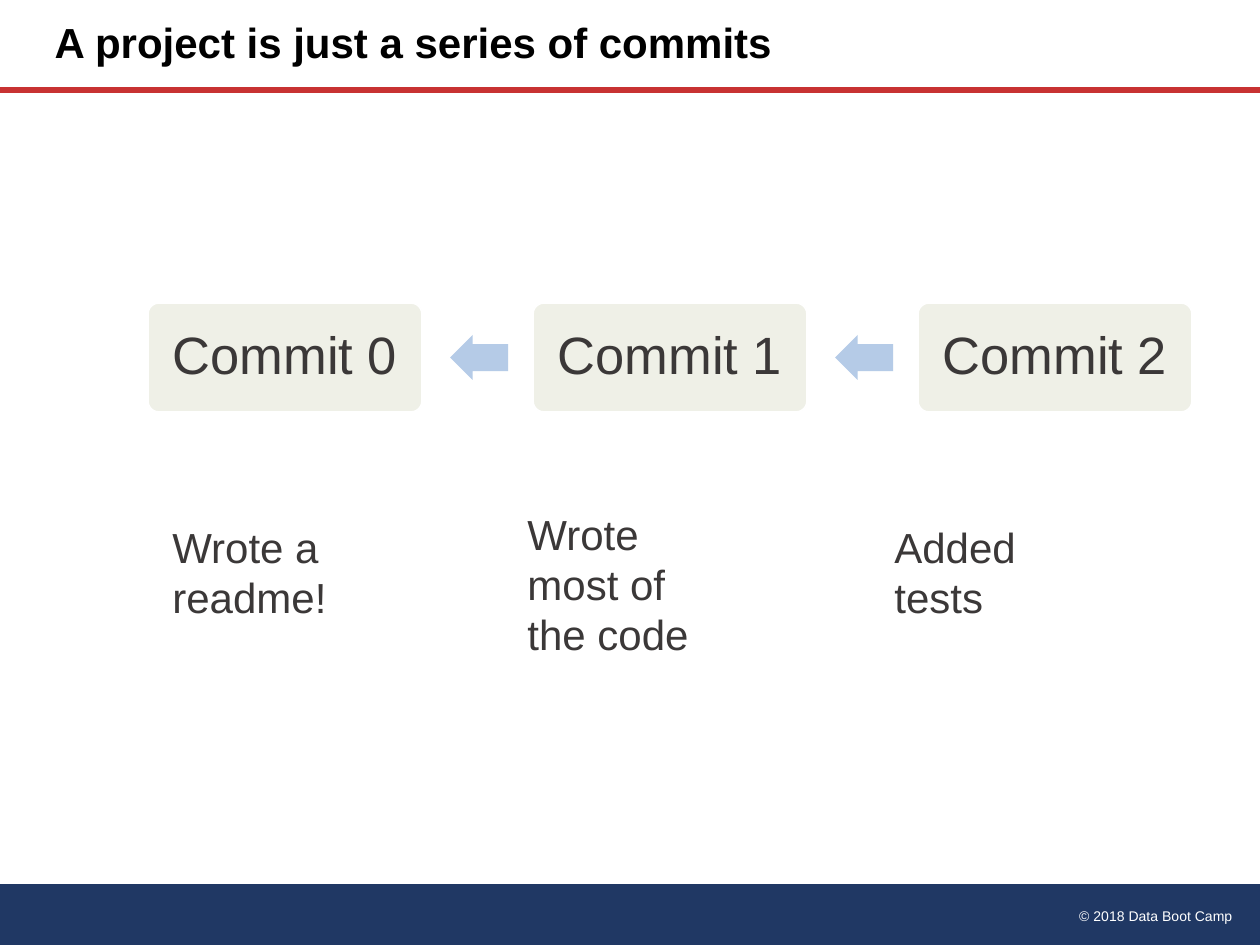
"""Build a slide that shows a project as a series of commits."""
from lxml import etree
from pptx import Presentation
from pptx import util as u
from pptx.dml.color import RGBColor
from pptx.enum import shapes, text

SCALE = u.Inches(1) / 126
COLORS = {
    "navy": "203864", "red": "C83232", "white": "FFFFFF", "black": "000000",
    "box": "EFF0E7", "arrow": "B5CBE7", "ink": "3B3838",
}
COMMITS = ["Commit 0", "Commit 1", "Commit 2"]
NOTES = [
    ("Wrote a readme!", (160, 515, 197, 115)),
    ("Wrote most of the code", (515, 502, 231, 165)),
    ("Added tests", (882, 515, 218, 115)),
]
PITCH = 385
TITLE = {"size": u.Pt(24), "bold": True, "color": "black"}
COMMIT = {"size": u.Pt(30), "color": "ink"}
NOTE = {"size": u.Pt(24), "color": "ink"}
COPYRIGHT = {"size": u.Pt(8), "color": "white"}
CENTERED = {"alignment": text.PP_ALIGN.CENTER, "line_spacing": 0.9}


def px(*lengths):
    """Turn lengths in pixels into EMU."""
    return [u.Emu(round(length * SCALE)) for length in lengths]


def rgb(name):
    """Return the named colour."""
    return RGBColor.from_string(COLORS[name])


def set_attributes(target, values):
    """Set every attribute in a dict of format values."""
    for name, value in values.items():
        setattr(target, name, value)


def write(frame, words, font, paragraph_format, frame_format=None):
    """Write one formatted paragraph into a text frame."""
    set_attributes(frame, {"word_wrap": True, **(frame_format or {})})
    paragraph = frame.paragraphs[0]
    set_attributes(paragraph, paragraph_format)
    run = paragraph.add_run()
    run.text = words
    values = {"name": "Arial", **font}
    run.font.color.rgb = rgb(values.pop("color"))
    set_attributes(run.font, values)


def add_title(slide, words, box):
    """Place and fill the title placeholder."""
    title = slide.shapes.title
    set_attributes(title, dict(zip(("left", "top", "width", "height"), px(*box))))
    write(title.text_frame, words, TITLE,
          {"alignment": text.PP_ALIGN.LEFT, "line_spacing": 0.9},
          {"auto_size": text.MSO_AUTO_SIZE.NONE,
           "vertical_anchor": text.MSO_ANCHOR.MIDDLE})


def add_label(slide, words, box, font, alignment=text.PP_ALIGN.LEFT):
    """Add a text box that grows with its text."""
    label = slide.shapes.add_textbox(*px(*box))
    write(label.text_frame, words, font, {"alignment": alignment},
          {"auto_size": text.MSO_AUTO_SIZE.SHAPE_TO_FIT_TEXT})


def add_block(slide, kind, box, fill, adjustments=(), outline=None):
    """Add a filled preset shape."""
    shape = slide.shapes.add_shape(kind, *px(*box))
    shape.shadow.inherit = False
    shape.fill.solid()
    shape.fill.fore_color.rgb = rgb(fill)
    for index, value in enumerate(adjustments):
        shape.adjustments[index] = value
    if outline:
        shape.line.color.rgb = rgb(outline)
        shape.line.width = u.Pt(1)
    else:
        shape.line.fill.background()
    return shape


def add_rule(slide, start, end, color, width):
    """Add a straight line without a shadow."""
    rule = slide.shapes.add_connector(
        shapes.MSO_CONNECTOR.STRAIGHT, *px(*start, *end))
    rule.line.color.rgb = rgb(color)
    rule.line.width = u.Pt(width)
    properties = rule.line._get_or_add_ln().getparent()
    namespace = etree.QName(properties[0]).namespace
    etree.SubElement(properties, f"{{{namespace}}}effectLst")


def add_commit(slide, words, left):
    """Add a rounded box that names a commit."""
    box = add_block(slide, shapes.MSO_SHAPE.ROUNDED_RECTANGLE,
                    (left, 303, 274, 109), "box", (0.1,), "white")
    insets = dict.fromkeys(
        ("margin_left", "margin_top", "margin_right", "margin_bottom"), px(15)[0])
    write(box.text_frame, words, COMMIT, CENTERED,
          {"vertical_anchor": text.MSO_ANCHOR.MIDDLE, **insets})


def add_back_arrow(slide, left):
    """Add an arrow that points back to the commit before."""
    arrow = add_block(slide, shapes.MSO_SHAPE.RIGHT_ARROW,
                      (left, 335, 58, 45), "arrow", (0.6, 0.5))
    arrow.rotation = 180


def main():
    """Build and save the slide."""
    presentation = Presentation()
    presentation.slide_width, presentation.slide_height = px(1260, 945)
    slide = presentation.slides.add_slide(presentation.slide_layouts[5])
    add_block(slide, shapes.MSO_SHAPE.FLOWCHART_PROCESS,
              (0, 884, 1261, 63), "navy")
    add_label(slide, "© 2018 Data Boot Camp", (861, 901, 384, 30), COPYRIGHT,
              text.PP_ALIGN.RIGHT)
    add_rule(slide, (0, 90), (1260, 90), "red", 3.25)
    add_title(slide, "A project is just a series of commits", (42, 0, 753, 90))
    for index, words in enumerate(COMMITS):
        add_commit(slide, words, 148 + index * PITCH)
        if index:
            add_back_arrow(slide, 65 + index * PITCH)
    for words, box in NOTES:
        add_label(slide, words, box, NOTE)
    presentation.save("out.pptx")


if __name__ == "__main__":
    main()
